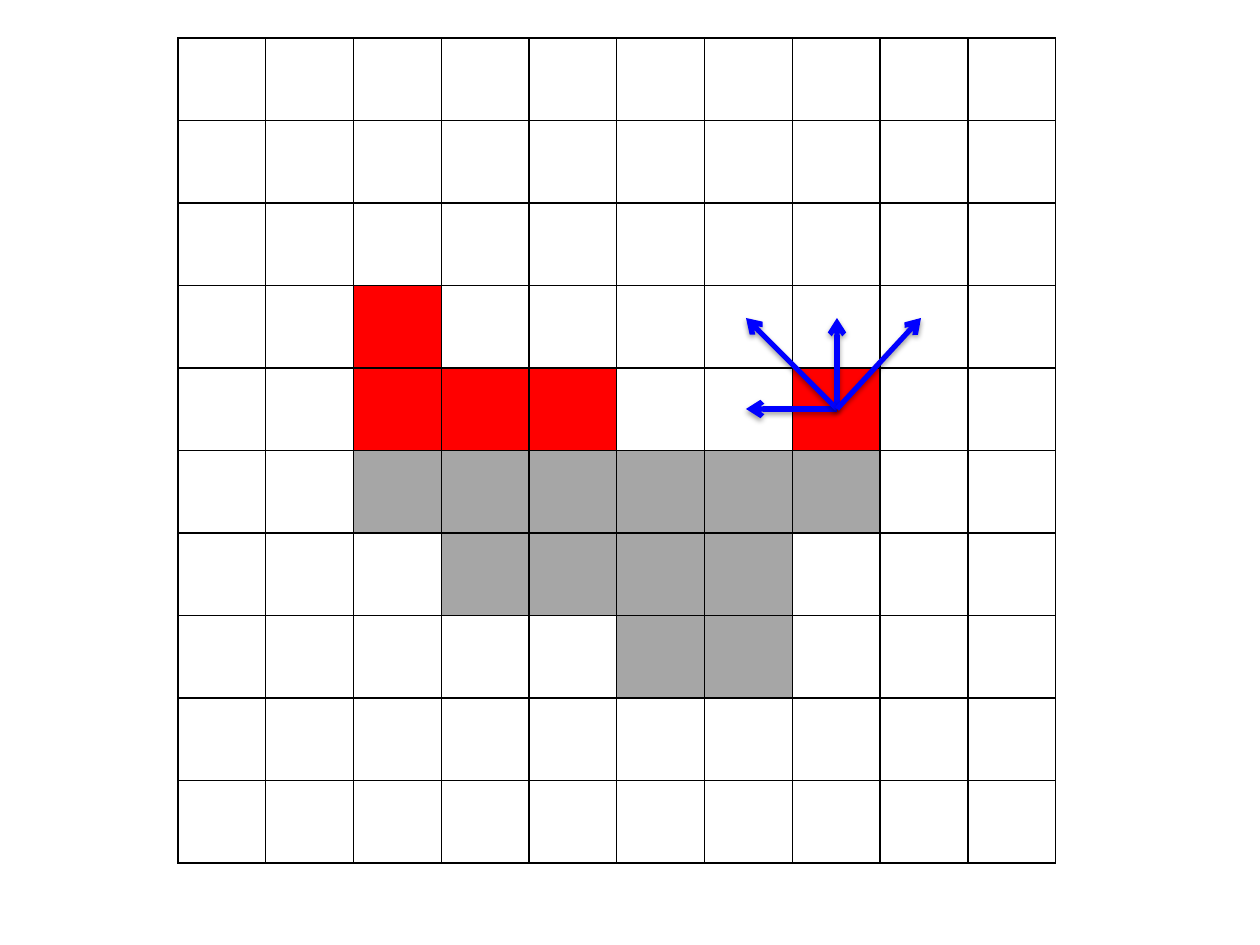
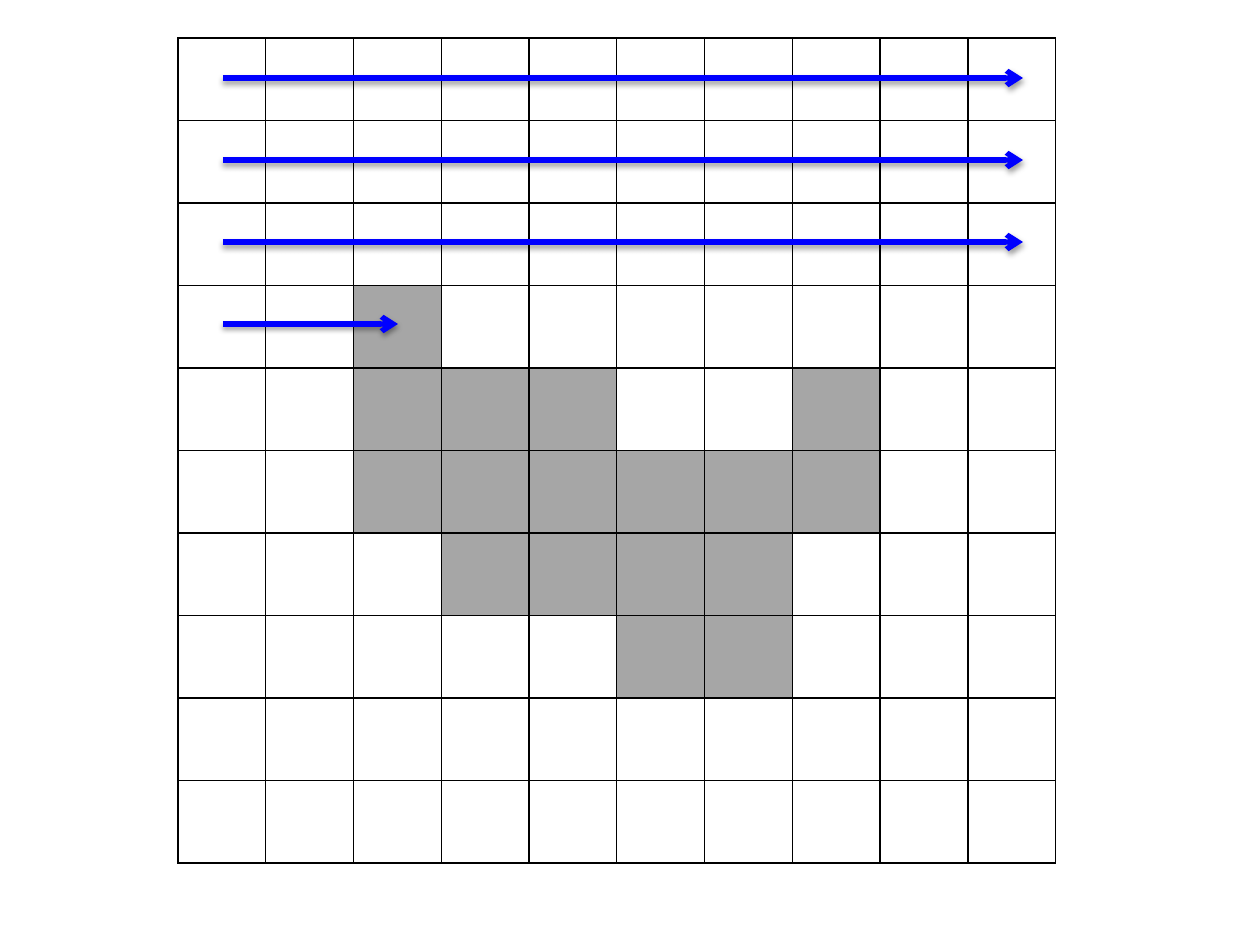
import dataclasses

import lxml.etree
import pptx
import pptx.dml.color
import pptx.enum.shapes
import pptx.oxml.ns
import pptx.util

PX = pptx.util.Inches(1) / 126
BLANK_LAYOUT = 6

GRID_LEFT, GRID_TOP, GRID_WIDTH, GRID_HEIGHT = 178, 38, 878, 825
SHAPE_CELLS = [
    "..........",
    "..........",
    "..........",
    "..E.......",
    "..EEE..E..",
    "..FFFFFF..",
    "...FFFF...",
    ".....FF...",
    "..........",
    "..........",
]

SEED = (837, 409)
NEIGHBOURS = [(837, 318), (746, 409), (746, 318), (921, 318)]

SCAN_LEFT, SCAN_TOP, SCAN_STEP = 223, 78, 82
SCAN_ENDS = [1023, 1023, 1023, 398]


@dataclasses.dataclass(frozen=True)
class Theme:
    """Colours and line widths shared by the slides."""

    edge: str = "FF0000"
    filled: str = "A6A6A6"
    arrow: str = "0000FF"
    border: str = "000000"
    border_pt: float = 1
    arrow_pt: float = 3
    shadow_blur_pt: float = 3.1
    shadow_distance_pt: float = 1.6
    shadow_alpha: int = 38


THEME = Theme()


def emu(px):
    """Turn a length in px into EMU."""
    return pptx.util.Emu(round(px * PX))


def rgb(colour):
    """Return the colour object of a hex string."""
    return pptx.dml.color.RGBColor.from_string(colour)


def add_xml(parent, tag, **attributes):
    """Append a DrawingML element and return it."""
    child = lxml.etree.SubElement(parent, pptx.oxml.ns.qn(tag))
    for name, value in attributes.items():
        child.set(name, str(value))
    return child


def add_borders(cell):
    """Draw a thin line on each side of a table cell."""
    tc_pr = cell._tc.get_or_add_tcPr()
    for side in ("a:lnL", "a:lnR", "a:lnT", "a:lnB"):
        ln = add_xml(tc_pr, side, w=pptx.util.Pt(THEME.border_pt))
        add_xml(add_xml(ln, "a:solidFill"), "a:srgbClr", val=THEME.border)


def add_grid(slide, edge_colour):
    """Add the pixel grid, with the shape's edge cells in the given colour."""
    rows, cols = len(SHAPE_CELLS), len(SHAPE_CELLS[0])
    frame = slide.shapes.add_table(
        rows, cols, emu(GRID_LEFT), emu(GRID_TOP), emu(GRID_WIDTH), emu(GRID_HEIGHT)
    )
    table = frame.table
    table.first_row = table.horz_banding = False
    colours = {"E": edge_colour, "F": THEME.filled}
    for row, marks in enumerate(SHAPE_CELLS):
        for col, mark in enumerate(marks):
            cell = table.cell(row, col)
            add_borders(cell)
            if mark in colours:
                cell.fill.solid()
                cell.fill.fore_color.rgb = rgb(colours[mark])
            else:
                cell.fill.background()


def add_shadow(sp):
    """Give a connector a soft shadow straight below it."""
    effects = add_xml(sp._element.spPr, "a:effectLst")
    shadow = add_xml(
        effects,
        "a:outerShdw",
        blurRad=pptx.util.Pt(THEME.shadow_blur_pt),
        dist=pptx.util.Pt(THEME.shadow_distance_pt),
        dir=90 * 60000,
        rotWithShape=0,
    )
    colour = add_xml(shadow, "a:srgbClr", val=THEME.border)
    add_xml(colour, "a:alpha", val=THEME.shadow_alpha * 1000)


def add_arrow(slide, start, end):
    """Add a straight arrow between two points."""
    sp = slide.shapes.add_connector(
        pptx.enum.shapes.MSO_CONNECTOR.STRAIGHT, *map(emu, start + end)
    )
    sp.line.color.rgb = rgb(THEME.arrow)
    sp.line.width = pptx.util.Pt(THEME.arrow_pt)
    add_xml(sp.line._get_or_add_ln(), "a:tailEnd", type="arrow")
    add_shadow(sp)


def add_grid_slide(prs, edge_colour, arrows):
    """Add a slide with the grid and its arrows."""
    slide = prs.slides.add_slide(prs.slide_layouts[BLANK_LAYOUT])
    add_grid(slide, edge_colour)
    for start, end in arrows:
        add_arrow(slide, start, end)


def main():
    """Build and save the presentation."""
    prs = pptx.Presentation()
    prs.slide_width, prs.slide_height = emu(1260), emu(945)
    add_grid_slide(prs, THEME.edge, [(SEED, end) for end in NEIGHBOURS])
    scan_arrows = []
    for row, right in enumerate(SCAN_ENDS):
        y = SCAN_TOP + row * SCAN_STEP
        scan_arrows.append(((SCAN_LEFT, y), (right, y)))
    add_grid_slide(prs, THEME.filled, scan_arrows)
    prs.save("out.pptx")


if __name__ == "__main__":
    main()
